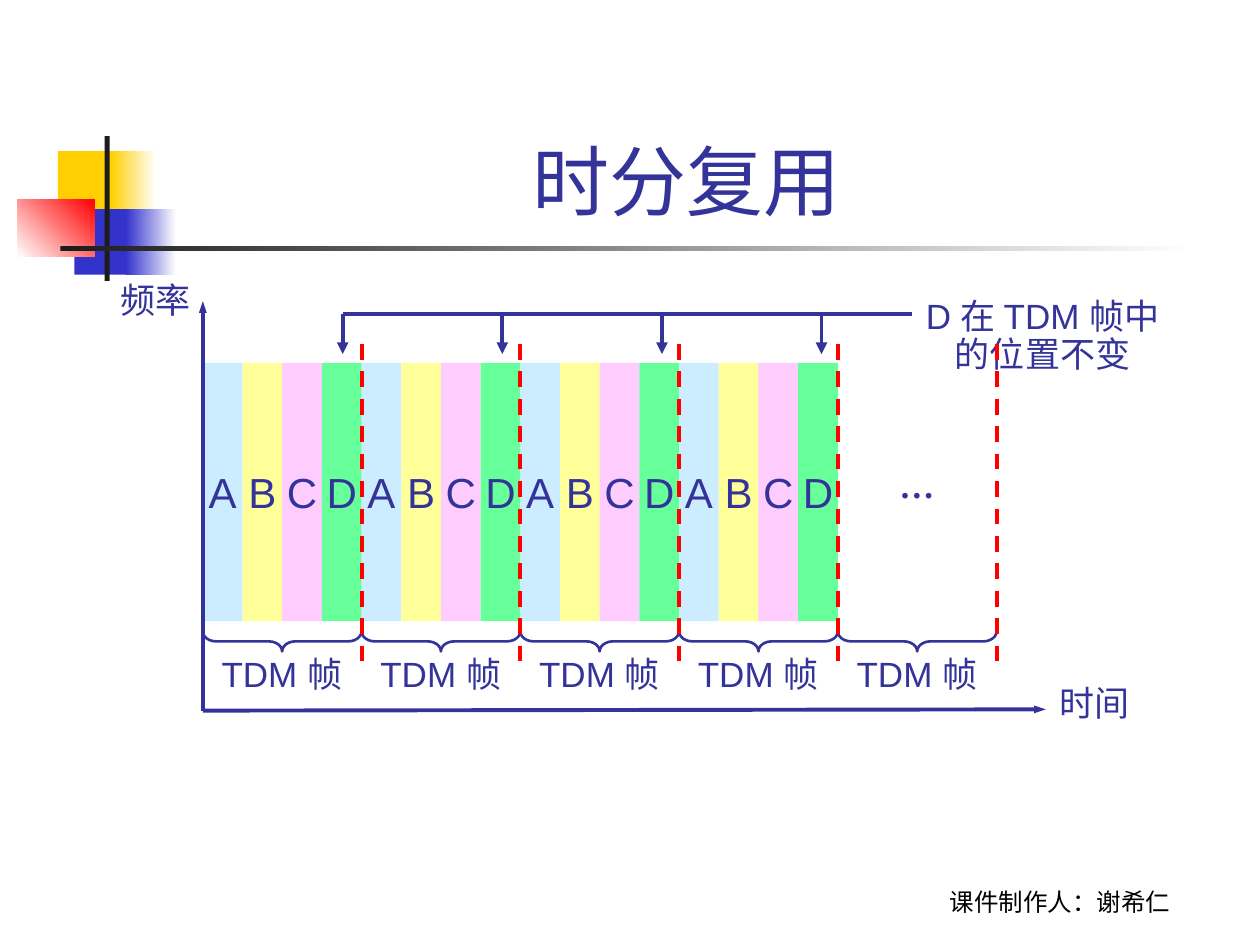
from lxml import etree
from pptx import Presentation
from pptx.dml.color import RGBColor
from pptx.enum.dml import MSO_LINE
from pptx.enum.shapes import MSO_CONNECTOR, MSO_SHAPE
from pptx.enum.text import MSO_ANCHOR, MSO_AUTO_SIZE, PP_ALIGN
from pptx.oxml.ns import qn
from pptx.util import Inches, Pt

RECTANGLE = MSO_SHAPE.RECTANGLE
BRACE = MSO_SHAPE.LEFT_BRACE
STRAIGHT = MSO_CONNECTOR.STRAIGHT
DASH = MSO_LINE.DASH
LEFT, CENTER = PP_ALIGN.LEFT, PP_ALIGN.CENTER
TOP, MIDDLE, BOTTOM = MSO_ANCHOR.TOP, MSO_ANCHOR.MIDDLE, MSO_ANCHOR.BOTTOM
FIT = MSO_AUTO_SIZE.SHAPE_TO_FIT_TEXT

COLORS = {
    "ink": "333399", "black": "000000", "white": "FFFFFF", "red": "FF0000",
    "yellow": "FFCF01", "blue": "3333CC", "dark": "1C1C1C",
    "A": "CCECFF", "B": "FFFF99", "C": "FFCCFF", "D": "66FF99",
}
CHANNELS = "ABCD"
FRAME_COUNT = 5
FULL_FRAMES = 4


def color(name):
    return RGBColor.from_string(COLORS[name])


def write_text(shape, text, size=20, font="Arial", ink="ink", align=LEFT,
               anchor=TOP, wrap=False, spacing=None, bold=False):
    frame = shape.text_frame
    frame.word_wrap = wrap
    frame.vertical_anchor = anchor
    frame.text = text
    for para in frame.paragraphs:
        para.alignment = align
        para.line_spacing = spacing
        para.font.size = Pt(size)
        para.font.name = font
        para.font.bold = bold
        para.font.color.rgb = color(ink)


def add_label(page, box, text, **style):
    label = page.shapes.add_textbox(*map(Inches, box))
    write_text(label, text, **style)
    if not style.get("wrap"):
        label.text_frame.auto_size = FIT


def add_block(page, box, start, end=None, angle=0):
    block = page.shapes.add_shape(RECTANGLE, *map(Inches, box))
    block.shadow.inherit = False
    block.line.fill.background()
    if end is None:
        block.fill.solid()
        block.fill.fore_color.rgb = color(start)
    else:
        block.fill.gradient()
        block.fill.gradient_angle = angle
        for stop, name in zip(block.fill.gradient_stops, (start, end)):
            stop.color.rgb = color(name)
    return block


def add_line(page, start, end, ink="ink", dash=None, arrow=None):
    line = page.shapes.add_connector(STRAIGHT, *map(Inches, (*start, *end)))
    line.line.color.rgb = color(ink)
    line.line.width = Pt(2.25)
    if dash:
        line.line.dash_style = dash
    if arrow:
        etree.SubElement(line.line._get_or_add_ln(), qn("a:tailEnd"),
                         type="triangle", w=arrow, len="med")
    etree.SubElement(line._element.spPr, qn("a:effectLst"))


def add_brace(page, box):
    left, top, width, height = box
    brace = page.shapes.add_shape(
        BRACE, Inches(left + (width - height) / 2), Inches(top + (height - width) / 2),
        Inches(height), Inches(width))
    brace.rotation = 270
    brace.adjustments[0] = 0.66
    brace.shadow.inherit = False
    brace.fill.background()
    brace.line.color.rgb = color("ink")
    brace.line.width = Pt(1.5)


def draw_ornament(page, box):
    left, top, width, height = box
    add_block(page, (left + 0.32, top + 0.12, 0.48, 0.52), "yellow")
    add_block(page, (left + 0.74, top + 0.12, 0.36, 0.52), "yellow", "white")
    add_block(page, (left + 0.45, top + 0.58, 0.46, 0.52), "blue")
    add_block(page, (left + 0.86, top + 0.58, 0.4, 0.52), "blue", "white")
    add_block(page, (left, top + 0.5, 0.61, 0.46), "white", "red", angle=45)
    add_block(page, (left + 0.69, top, 0.04, height), "dark")
    add_block(page, (left + 0.34, top + 0.87, width - 0.34, 0.04), "dark", "white")


def draw_slots(page, box):
    left, top, width, height = box
    slot = width / (FULL_FRAMES * len(CHANNELS))
    for index, channel in enumerate(CHANNELS * FULL_FRAMES):
        block = add_block(page, (left + index * slot, top, slot, height), channel)
        write_text(block, channel, size=24, align=CENTER, anchor=MIDDLE)


def draw_frames(page, box):
    left, top, width, height = box
    pitch = width / FRAME_COUNT
    for index in range(FRAME_COUNT):
        start = left + index * pitch
        add_label(page, (start + 0.05, top + 2.44, 1.25, 0.4), "TDM 帧", spacing=0.9)
        add_brace(page, (start, top + 2.28, pitch, 0.16))
    for index in range(1, FRAME_COUNT + 1):
        edge = left + index * pitch
        add_line(page, (edge, top), (edge, top + height), ink="red", dash=DASH)


def draw_pointers(page, box):
    left, top, width, height = box
    pitch = 3.8 / (FULL_FRAMES - 1)
    add_line(page, (left, top), (left + width, top))
    for index in range(FULL_FRAMES):
        x = left + index * pitch
        add_line(page, (x, top), (x, top + height), arrow="med")


def draw_axes(page, box):
    left, top, width, height = box
    bottom = top + height
    add_line(page, (left, bottom), (left + width, bottom - 0.01), arrow="sm")
    add_line(page, (left, bottom), (left, top), arrow="sm")
    axis_style = {"font": "Times New Roman", "spacing": 0.9}
    add_label(page, (left - 0.75, top - 0.19, 0.78, 0.4), "频率", **axis_style)
    add_label(page, (left + width + 0.01, bottom - 0.24, 0.78, 0.4), "时间", **axis_style)


def main():
    deck = Presentation()
    deck.slide_width, deck.slide_height = Inches(10), Inches(7.5)
    page = deck.slides.add_slide(deck.slide_layouts[6])
    draw_ornament(page, (0.14, 1.08, 9.34, 1.15))
    add_label(page, (6.83, 6.82, 3.17, 0.5), "课件制作人：谢希仁", size=14,
              font="Cabin", ink="black", align=CENTER, anchor=BOTTOM, wrap=True)
    add_label(page, (1.26, 0.24, 8.52, 1.6), "时分复用 ", size=44,
              align=CENTER, anchor=BOTTOM, wrap=True)
    draw_slots(page, (1.61, 2.88, 5.04, 2.05))
    draw_axes(page, (1.61, 2.39, 6.69, 3.25))
    add_label(page, (7.13, 2.33, 2.29, 0.7), "D 在 TDM 帧中\n的位置不变",
              align=CENTER, spacing=0.9)
    draw_pointers(page, (2.72, 2.49, 4.52, 0.32))
    add_label(page, (7.04, 3.63, 0.48, 0.43), "…", font="Times New Roman", bold=True)
    draw_frames(page, (1.61, 2.73, 6.3, 2.59))
    deck.save("out.pptx")


if __name__ == "__main__":
    main()
